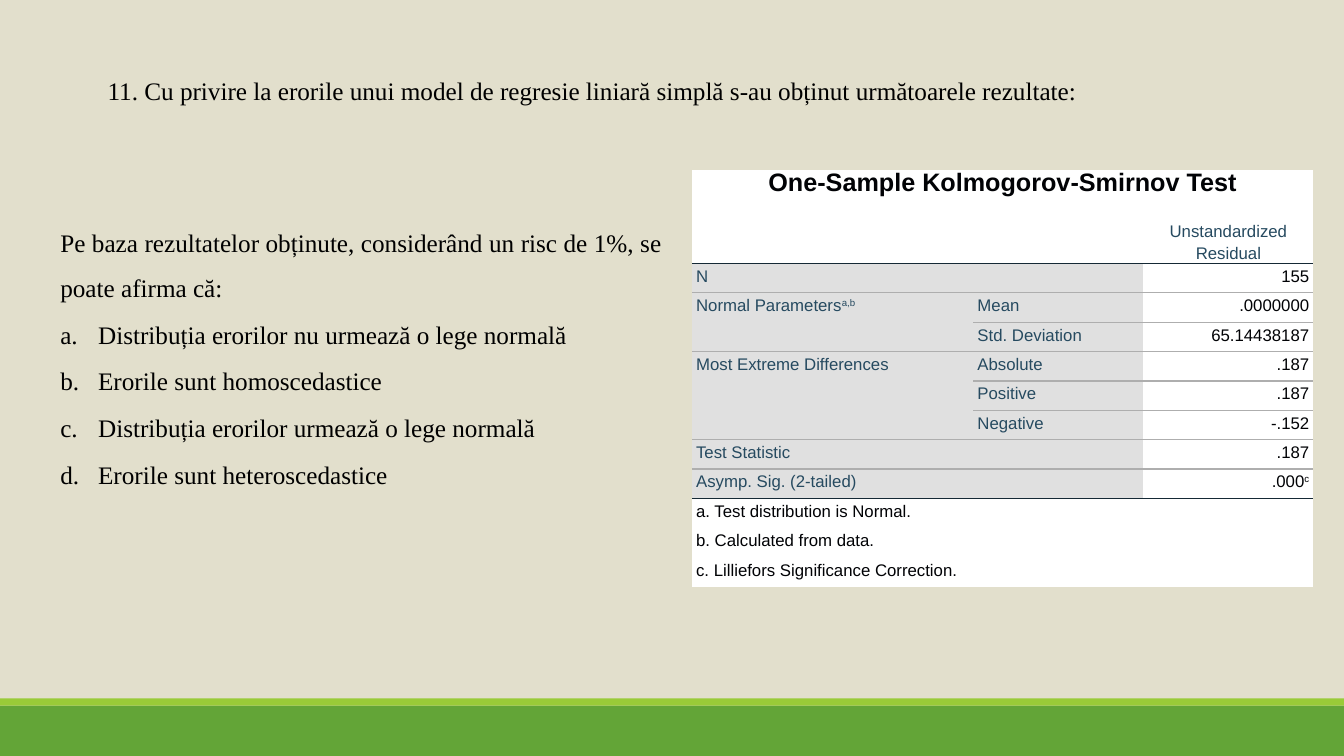
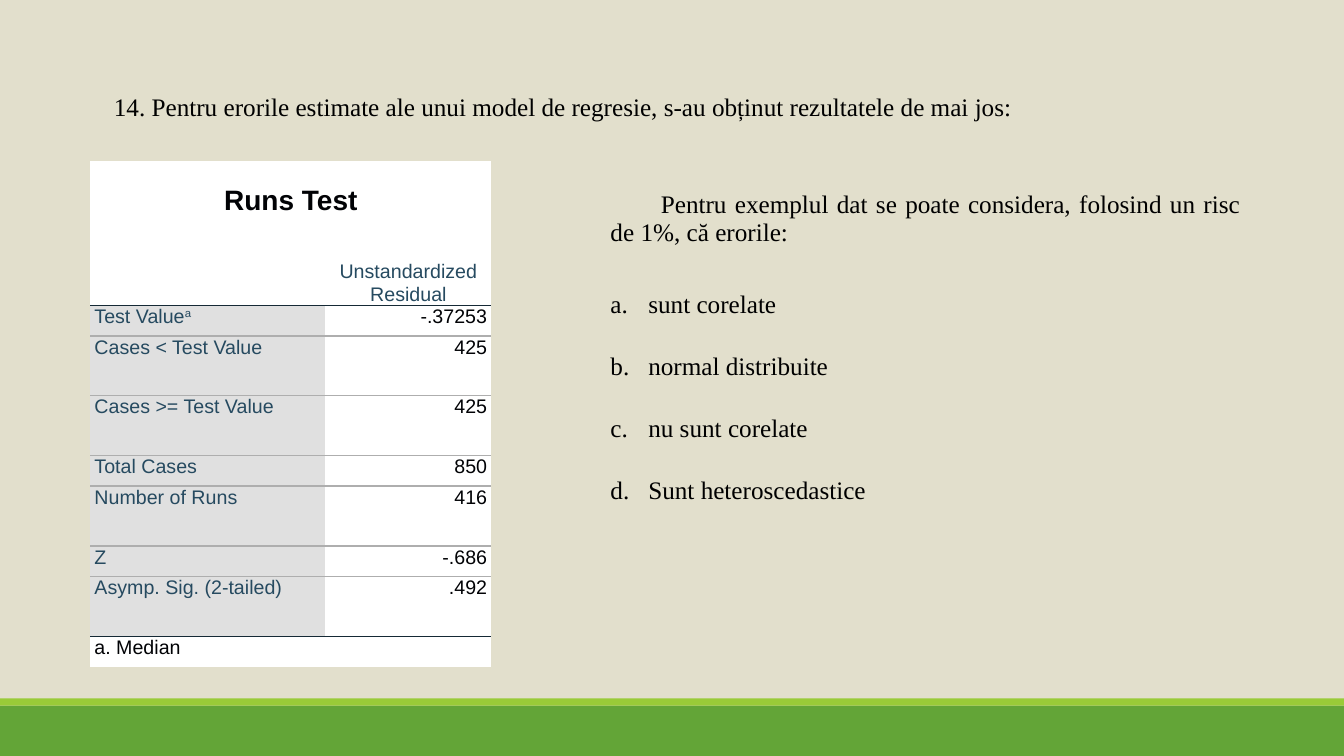
from lxml import etree
from pptx import Presentation
from pptx.dml.color import RGBColor
from pptx.enum.shapes import MSO_SHAPE
from pptx.enum.text import MSO_ANCHOR, PP_ALIGN
from pptx.oxml.ns import qn
from pptx.util import Pt

PX = 9525  # EMU in one px, 96 px to the inch
WIDTH, HEIGHT = 1280, 720
LEFT, CENTER, RIGHT, JUSTIFY = PP_ALIGN.LEFT, PP_ALIGN.CENTER, PP_ALIGN.RIGHT, PP_ALIGN.JUSTIFY
TOP, MIDDLE, BOTTOM = MSO_ANCHOR.TOP, MSO_ANCHOR.MIDDLE, MSO_ANCHOR.BOTTOM
RECTANGLE = MSO_SHAPE.RECTANGLE

SAND, GREEN, LIME = "E2DFCC", "63A537", "99CB38"
BLACK, WHITE, LABEL_FILL = "000000", "FFFFFF", "E0E0E0"
LABEL, VALUE, GREY_LINE, DARK_LINE = "264A60", "010205", "AEAEAE", "152935"
SERIF, SANS = "Times New Roman", "Arial"
BANDS = [(672, 48, GREEN), (665, 7, LIME)]  # top, height, colour

SLIDES = [
    {
        "title": "11. Cu privire la erorile unui model de regresie liniară simplă s-au obținut următoarele rezultate:",
        "title_box": (93, 65, 1130, 82),
        "title_spacing": 1.07,
        "question": "Pe baza rezultatelor obținute, considerând un risc de 1%, se poate afirma că:",
        "question_format": {"spacing": 1.5, "after": 1},
        "answers": [
            "Distribuția erorilor nu urmează o lege normală",
            "Erorile sunt homoscedastice",
            "Distribuția erorilor urmează o lege normală",
            "Erorile sunt heteroscedastice",
        ],
        "answer_format": {"spacing": 1.5, "align": JUSTIFY},
        "body_box": (48, 197, 592, 272),
        "table_at": (659, 162),
        "columns": [268, 162, 162],
        "row_heights": [29, 60] + [28] * 11,
        "rows": [
            ["One-Sample Kolmogorov-Smirnov Test"],
            ["", "", "Unstandardized Residual"],
            ["N", "", "155"],
            ["Normal Parameters^a,b", "Mean", ".0000000"],
            ["", "Std. Deviation", "65.14438187"],
            ["Most Extreme Differences", "Absolute", ".187"],
            ["", "Positive", ".187"],
            ["", "Negative", "-.152"],
            ["Test Statistic", "", ".187"],
            ["Asymp. Sig. (2-tailed)", "", ".000^c"],
            ["a. Test distribution is Normal."],
            ["b. Calculated from data."],
            ["c. Lilliefors Significance Correction."],
        ],
        "notes": 3,
        "merges": [(1, 0, 1, 1), (2, 0, 2, 1), (3, 0, 4, 0), (5, 0, 7, 0), (8, 0, 8, 1), (9, 0, 9, 1)],
        "sizes": (18, 12),
        "heading_anchor": MIDDLE,
    },
    {
        "title": "14. Pentru erorile estimate ale unui model de regresie, s-au obținut rezultatele de mai jos:",
        "title_box": (99, 84, 1079, 118),
        "title_spacing": Pt(20),
        "question": "Pentru exemplul dat se poate considera, folosind un risc de 1%, că erorile:",
        "question_format": {"spacing": Pt(20), "after": 8, "indent": 48},
        "answers": ["sunt corelate", "normal distribuite", "nu sunt corelate", "Sunt heteroscedastice"],
        "answer_format": {"spacing": 2.0},
        "body_box": (572, 177, 619, 342),
        "table_at": (86, 153),
        "columns": [224, 158],
        "row_heights": [53, 85, 29, 57, 57, 29, 57, 29, 57, 29],
        "rows": [
            ["Runs Test"],
            ["", "Unstandardized Residual"],
            ["Test Value^a", "-.37253"],
            ["Cases < Test Value", "425"],
            ["Cases >= Test Value", "425"],
            ["Total Cases", "850"],
            ["Number of Runs", "416"],
            ["Z", "-.686"],
            ["Asymp. Sig. (2-tailed)", ".492"],
            ["a. Median"],
        ],
        "notes": 1,
        "merges": [],
        "sizes": (20, 14),
        "heading_anchor": BOTTOM,
    },
]


def rgb(value):
    return RGBColor.from_string(value)


def write(frame, text, font=SERIF, size=18, color=BLACK, bold=False, align=LEFT,
          spacing=1.0, after=8, margin=0, indent=0, numbered=False):
    """Add one paragraph; what follows a ^ is set as superscript."""
    paragraph = frame.paragraphs[0]
    if paragraph.runs:
        paragraph = frame.add_paragraph()
    properties = paragraph._p.get_or_add_pPr()
    properties.set("marL", str(margin * PX))
    properties.set("indent", str(indent * PX))
    if numbered:
        etree.SubElement(properties, qn("a:buAutoNum"), type="alphaLcPeriod")
    paragraph.alignment = align
    paragraph.line_spacing = spacing
    paragraph.space_after = Pt(after)
    base, _, raised = text.partition("^")
    for part in filter(None, (base, raised)):
        run = paragraph.add_run()
        run.text = part
        run.font.name, run.font.size, run.font.bold = font, Pt(size), bold
        run.font.color.rgb = rgb(color)
    if raised:
        run._r.get_or_add_rPr().set("baseline", "30000")


presentation = Presentation()
presentation.slide_width = WIDTH * PX
presentation.slide_height = HEIGHT * PX

# Background shared through the master
background = presentation.slide_master.background.fill
background.solid()
background.fore_color.rgb = rgb(SAND)

for content in SLIDES:
    slide = presentation.slides.add_slide(presentation.slide_layouts[6])

    # Bands at the foot
    for top, height, fill_color in BANDS:
        band = slide.shapes.add_shape(RECTANGLE, 0, top * PX, WIDTH * PX, height * PX)
        band.shadow.inherit = False
        band.fill.solid()
        band.fill.fore_color.rgb = rgb(fill_color)
        band.line.fill.background()

    # Title and question with its answers
    title, body = [
        slide.shapes.add_textbox(*(length * PX for length in content[box])).text_frame
        for box in ("title_box", "body_box")
    ]
    title.word_wrap = body.word_wrap = True
    write(title, content["title"], spacing=content["title_spacing"])
    write(body, content["question"], align=JUSTIFY, **content["question_format"])
    for answer in content["answers"]:
        write(body, answer, after=1, margin=36, indent=-36, numbered=True, **content["answer_format"])

    # Table grid
    columns, heights, rows = content["columns"], content["row_heights"], content["rows"]
    left, top = content["table_at"]
    table = slide.shapes.add_table(len(rows), len(columns), left * PX, top * PX,
                                   sum(columns) * PX, sum(heights) * PX).table
    table.first_row = table.horz_banding = False
    for column, width in zip(table.columns, columns):
        column.width = width * PX
    for row, height in zip(table.rows, heights):
        row.height = height * PX
    last_column = len(columns) - 1
    first_note = len(rows) - content["notes"]
    full_rows = [0, *range(first_note, len(rows))]
    merges = [(index, 0, index, last_column) for index in full_rows] + content["merges"]
    for first_row, first_column, end_row, end_column in merges:
        table.cell(first_row, first_column).merge(table.cell(end_row, end_column))

    # Line above each row, the last entry being the bottom edge
    rules = [None, None] + [GREY_LINE] * (len(rows) - 1)
    rules[2] = rules[first_note] = DARK_LINE
    rules[first_note + 1:] = [None] * content["notes"]

    # Table cells
    heading_size, text_size = content["sizes"]
    for row_index, texts in enumerate(rows):
        for column_index in range(len(columns)):
            cell = table.cell(row_index, column_index)
            is_body = 2 <= row_index < first_note
            is_label = is_body and column_index < last_column
            edges = {"L": None, "R": None, "T": rules[row_index], "B": rules[row_index + 1]}
            for side, line_color in edges.items():
                line = etree.SubElement(cell._tc.get_or_add_tcPr(), qn("a:ln" + side), w=str(Pt(1)))
                if line_color:
                    fill = etree.SubElement(line, qn("a:solidFill"))
                    etree.SubElement(fill, qn("a:srgbClr"), val=line_color)
                else:
                    etree.SubElement(line, qn("a:noFill"))
            cell.fill.solid()
            cell.fill.fore_color.rgb = rgb(LABEL_FILL if is_label else WHITE)
            cell.margin_top = cell.margin_bottom = 0
            cell.margin_left = cell.margin_right = 4 * PX
            text = texts[column_index] if column_index < len(texts) else ""
            if not text:
                continue
            look = {"size": text_size, "color": VALUE}
            cell.vertical_anchor = TOP
            if row_index == 0:
                look.update(size=heading_size, bold=True, align=CENTER)
                cell.vertical_anchor = content["heading_anchor"]
            elif row_index == 1:
                look.update(color=LABEL, align=CENTER)
                cell.vertical_anchor = BOTTOM
            elif is_label:
                look.update(color=LABEL)
            elif is_body:
                look.update(align=RIGHT)
            write(cell.text_frame, text, font=SANS, spacing=Pt(16), **look)

presentation.save("out.pptx")
